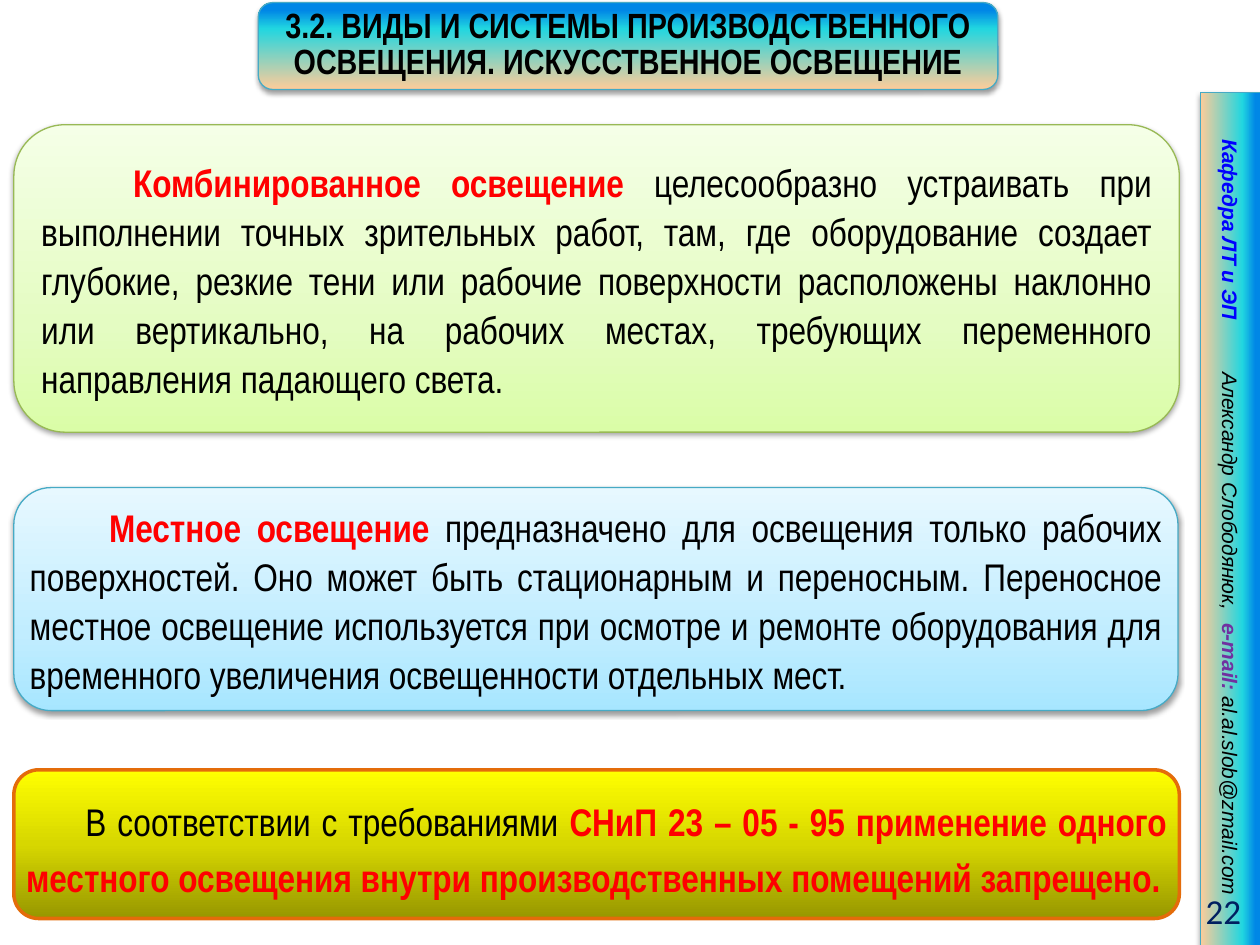
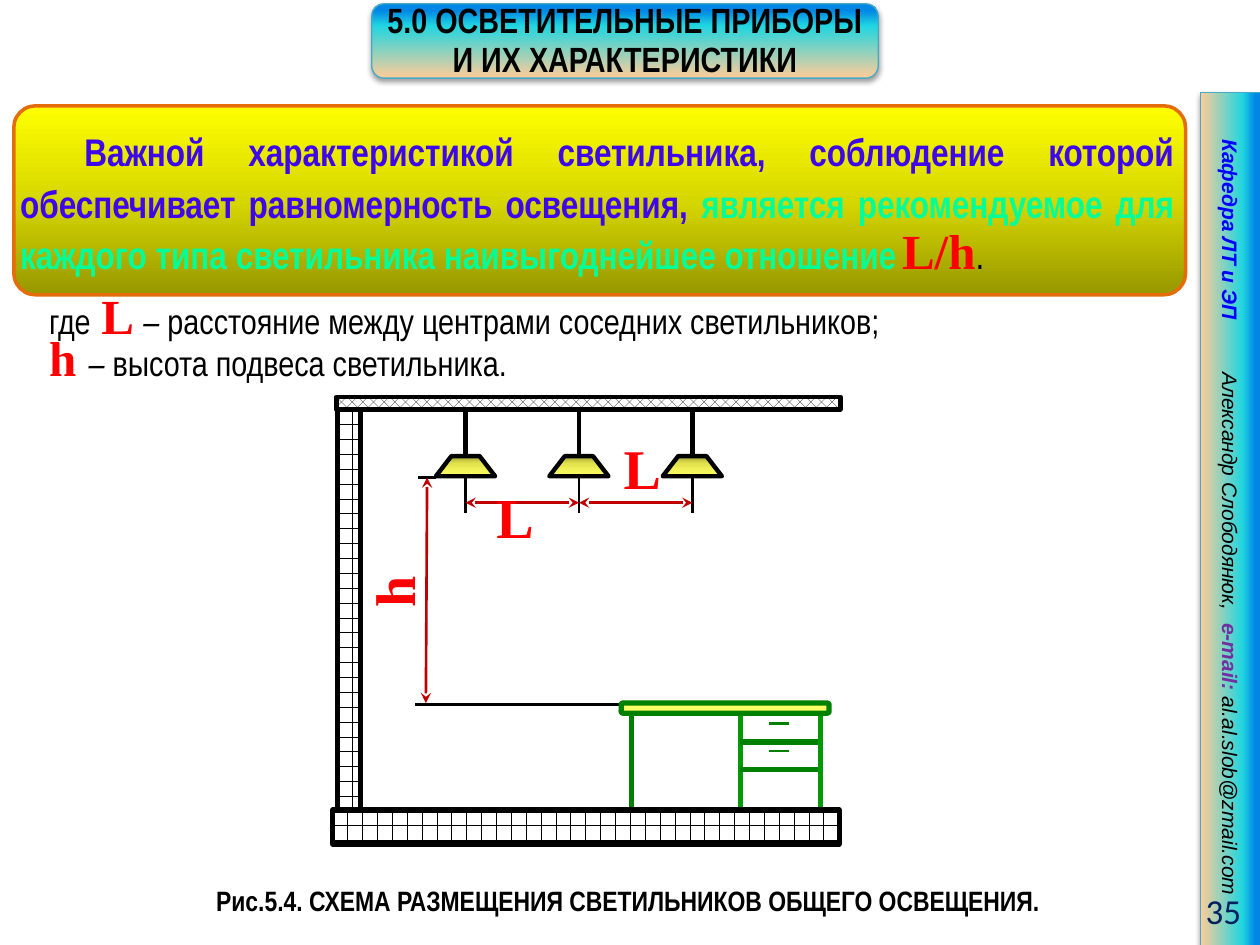
import pptx
import pptx.util
import pptx.dml.color
import pptx.enum.dml
import pptx.enum.shapes
import pptx.enum.text
import pptx.oxml
import pptx.oxml.ns
from pptx.util import Inches

Pt = pptx.util.Pt
SHAPES = pptx.enum.shapes.MSO_SHAPE
PATTERNS = pptx.enum.dml.MSO_PATTERN
ALIGN = pptx.enum.text.PP_ALIGN
ANCHOR = pptx.enum.text.MSO_ANCHOR
NAMESPACE = pptx.oxml.ns.nsdecls("a")

COLOURS = {
    "black": "000000", "white": "FFFFFF", "red": "FF0000", "blue": "0000FF",
    "violet": "7030A0", "navy": "002060", "indigo": "3D07E9", "mint": "00FF99",
    "teal": "46AAC5", "olive": "98B955", "orange": "E46C0A", "arrow": "C00000",
    "green": "008000", "leg": "009900", "desk": "FFFF66",
}

# Gradient stops (percent, colour) and the angle, counter-clockwise
GRADIENTS = {
    "band": ([(0, "FFCC99"), (70, "21D6E0"), (91, "0087E6")], 90),
    "gold": ([(0, "979700"), (50, "D7D700"), (100, "FFFF00")], 90),
    "sky": ([(0, "A7E6FF"), (35, "C1EDFF"), (100, "E7F8FF")], 90),
    "lime": ([(0, "DAFDA7"), (35, "E4FCC2"), (100, "F5FFE7")], 90),
    "lamp": ([(0, "9E9E36"), (35, "E1E14C"), (100, "FFFF66")], 270),
}


def text_format(name, size, colour, bold=False, italic=False, outline=None):
    font = {"name": name, "size": Pt(size), "bold": bold, "italic": italic}
    return {"font": font, "colour": colour, "outline": outline}


# Outlines are (width in points, opacity in percent)
HAIRLINE, FULL = (0.07, 55), (1, 100)
NARROW, ROMAN = "Arial Narrow", "Times New Roman"
FORMATS = {
    "title": text_format(NARROW, 20, "black", True),
    "number": text_format("Calibri", 20, "navy"),
    "department": text_format("Arial", 12, "blue", True, True),
    "contact": text_format("Arial", 12, "black", False, True),
    "contact label": text_format("Arial", 12, "violet", True, True),
    "body": text_format(NARROW, 22, "black"),
    "term": text_format(NARROW, 22, "red", True, outline=HAIRLINE),
    "lead": text_format(NARROW, 22, "indigo", True),
    "advice": text_format(NARROW, 22, "mint", True, outline=FULL),
    "legend": text_format(NARROW, 20, "black"),
    "dash": text_format(NARROW, 20, "black", False, True),
    "gap": text_format(ROMAN, 24, "black"),
    "symbol": text_format(ROMAN, 28, "red", True, outline=FULL),
    "dimension": text_format(ROMAN, 32, "red", True, outline=FULL),
    "caption": text_format(NARROW, 16, "black", True),
}
TIGHT = (0.04, 0.04, 0.04, 0.04)
USUAL = (0.1, 0.05, 0.1, 0.05)


def rgb(name):
    return pptx.dml.color.RGBColor.from_string(COLOURS[name])


def element(tag, attributes="", content=""):
    return pptx.oxml.parse_xml(f"<a:{tag} {NAMESPACE} {attributes}>{content}</a:{tag}>")


class Deck:
    def __init__(self):
        self.presentation = pptx.Presentation()
        self.presentation.slide_width = Inches(10)
        self.presentation.slide_height = Inches(7.5)
        self.slide = None

    def new_slide(self, title, box, spacing, number):
        layout = self.presentation.slide_layouts[5]
        self.slide = self.presentation.slides.add_slide(layout)
        # Title over its coloured plate
        plate = self.shape(SHAPES.ROUNDED_RECTANGLE, box, "band", "teal", shadow=True)
        placeholder = self.slide.shapes.title
        placeholder._element.addprevious(plate._element)
        for side, length in zip(("left", "top", "width", "height"), box):
            setattr(placeholder, side, Inches(length))
        self.set_text(placeholder, [[(title, "title")]], ALIGN.CENTER, spacing)
        # Side band and slide number
        band = self.shape(SHAPES.RECTANGLE, (6.38, 3.88, 6.77, 0.48), "band", "teal", shadow=True)
        band.rotation = 90
        self.set_text(band, [[("Кафедра ЛТ и ЭП\t", "department"),
                              ("Александр Слободянюк,\t", "contact"),
                              ("e-mail: ", "contact label"),
                              ("al.al.slob@zmail.com", "contact")]],
                      insets=(0.37, 0.05, 0, 0.05), tabs=(1.85, 3.84))
        self.text((8.86, 7.03, 1.09, 0.4), [[(number, "number")]], ALIGN.RIGHT, insets=USUAL)

    def shape(self, kind, box, fill, line, width=0.75, shadow=False, adjust=None):
        shape = self.slide.shapes.add_shape(kind, *map(Inches, box))
        if adjust is not None:
            shape.adjustments[0] = adjust
        if fill in GRADIENTS:
            self.gradient(shape, *GRADIENTS[fill])
        elif fill in COLOURS:
            shape.fill.solid()
            shape.fill.fore_color.rgb = rgb(fill)
        else:
            shape.fill.patterned()
            shape.fill.pattern = fill
            shape.fill.fore_color.rgb = rgb("black")
            shape.fill.back_color.rgb = rgb("white")
        shape.line.color.rgb = rgb(line)
        shape.line.width = Pt(width)
        shape.shadow.inherit = False
        if shadow:
            effects = shape._element.spPr.find(pptx.oxml.ns.qn("a:effectLst"))
            effects.append(element(
                "outerShdw",
                f'blurRad="{Pt(3.1)}" dist="{Pt(1.6)}" dir="5400000" rotWithShape="0"',
                '<a:srgbClr val="000000"><a:alpha val="38000"/></a:srgbClr>'))
        return shape

    def gradient(self, shape, stops, angle):
        shape.fill.gradient()
        shape.fill.gradient_angle = angle
        stop_list = next(shape._element.spPr.iter(pptx.oxml.ns.qn("a:gsLst")))
        for stop in list(stop_list):
            stop_list.remove(stop)
        for percent, colour in stops:
            stop_list.append(element("gs", f'pos="{percent * 1000}"',
                                     f'<a:srgbClr val="{colour}"/>'))

    def panel(self, box, fill, line, runs, spacing, indent, insets=TIGHT, tabs=(), **options):
        panel = self.shape(SHAPES.ROUNDED_RECTANGLE, box, fill, line, **options)
        self.set_text(panel, [runs], ALIGN.JUSTIFY, spacing, indent, insets, tabs=tabs)

    def text(self, box, paragraphs, align=ALIGN.LEFT, spacing=None, **options):
        shape = self.slide.shapes.add_textbox(*map(Inches, box))
        self.set_text(shape, paragraphs, align, spacing, **options)
        return shape

    def set_text(self, shape, paragraphs, align=ALIGN.LEFT, spacing=None, indent=0,
                 insets=TIGHT, anchor=ANCHOR.MIDDLE, tabs=()):
        frame = shape.text_frame
        left, top, right, bottom = map(Inches, insets)
        settings = {"word_wrap": True, "auto_size": pptx.enum.text.MSO_AUTO_SIZE.NONE,
                    "vertical_anchor": anchor, "margin_left": left, "margin_top": top,
                    "margin_right": right, "margin_bottom": bottom}
        for name, value in settings.items():
            setattr(frame, name, value)
        for index, runs in enumerate(paragraphs):
            paragraph = frame.add_paragraph() if index else frame.paragraphs[0]
            paragraph.alignment = align
            if spacing:
                paragraph.line_spacing = Pt(spacing)
            properties = paragraph._p.get_or_add_pPr()
            if indent:
                properties.set("marL", "0")
                properties.set("indent", str(Inches(indent)))
            if tabs:
                stops = "".join(f'<a:tab pos="{Inches(tab)}" algn="l"/>' for tab in tabs)
                properties.append(element("tabLst", content=stops))
            for content, format_name in runs:
                run = paragraph.add_run()
                run.text = content
                self.style_run(run, FORMATS[format_name])

    def style_run(self, run, settings):
        for name, value in settings["font"].items():
            setattr(run.font, name, value)
        run.font.color.rgb = rgb(settings["colour"])
        if settings["outline"]:
            width, opacity = settings["outline"]
            run._r.get_or_add_rPr().insert(0, element(
                "ln", f'w="{Pt(width)}"',
                '<a:solidFill><a:srgbClr val="000000">'
                f'<a:alpha val="{opacity * 1000}"/></a:srgbClr></a:solidFill>'))

    def line(self, start, end, colour="black", width=1.5, arrows=False):
        connector = self.slide.shapes.add_connector(
            pptx.enum.shapes.MSO_CONNECTOR.STRAIGHT, *map(Inches, start + end))
        connector.line.color.rgb = rgb(colour)
        connector.line.width = Pt(width)
        if arrows:
            for tip in ("headEnd", "tailEnd"):
                connector.line._get_or_add_ln().append(element(tip, 'type="stealth"'))
        connector._element.spPr.append(element("effectLst"))
        return connector


def build_lighting_kinds(deck):
    deck.new_slide("3.2. ВИДЫ И СИСТЕМЫ ПРОИЗВОДСТВЕННОГО ОСВЕЩЕНИЯ. ИСКУССТВЕННОЕ ОСВЕЩЕНИЕ",
                   (2.05, 0.02, 5.87, 0.69), 20, "22")
    deck.panel((0.11, 6.11, 9.25, 1.18), "gold", "orange", [
        ("В соответствии с требованиями ", "body"),
        ("СНиП 23 – 05 - 95 применение одного местного освещения внутри "
         "производственных помещений запрещено.", "term")], 32, 0.47, width=2)
    deck.panel((0.11, 3.87, 9.24, 1.77), "sky", "teal", [
        ("Местное освещение", "term"),
        (" предназначено для освещения только рабочих поверхностей. Оно может быть "
         "стационарным и переносным. Переносное местное освещение используется при "
         "осмотре и ремонте оборудования для временного увеличения освещенности "
         "отдельных мест.", "body")], 28, 0.63, shadow=True)
    deck.panel((0.11, 0.99, 9.25, 2.44), "lime", "olive", [
        ("Комбинированное освещение ", "term"),
        ("целесообразно устраивать при выполнении точных зрительных работ, там, где "
         "оборудование создает глубокие, резкие тени или рабочие поверхности "
         "расположены наклонно или вертикально, на рабочих местах, требующих "
         "переменного направления падающего света.", "body")], 28, 0.73, USUAL, shadow=True)


def build_lamp_scheme(deck):
    deck.new_slide("5.0 ОСВЕТИТЕЛЬНЫЕ ПРИБОРЫ И ИХ ХАРАКТЕРИСТИКИ",
                   (2.95, 0.03, 4.02, 0.59), 22, "35")
    deck.panel((0.11, 0.84, 9.3, 1.5), "gold", "orange", [
        ("Важной характеристикой светильника, соблюдение которой обеспечивает "
         "равномерность освещения, ", "lead"),
        ("является рекомендуемое для каждого типа светильника наивыгоднейшее "
         "отношение\t", "advice"),
        ("L/h", "symbol"), (".", "body")], 30, 0.51, (0, 0.04, 0.04, 0.04),
        tabs=(7.17,), width=2, adjust=0.115)
    deck.text((0.35, 2.36, 7.24, 0.75), [
        [("где", "legend"), (" ", "gap"), ("L ", "symbol"), ("– ", "dash"),
         ("расстояние между центрами соседних светильников;", "legend")],
        [("h ", "symbol"), ("– ", "dash"), ("высота подвеса светильника.", "legend")],
    ], ALIGN.JUSTIFY, 24)
    deck.text((1.48, 6.9, 7.01, 0.42), [
        [("Рис.5.4. СХЕМА РАЗМЕЩЕНИЯ СВЕТИЛЬНИКОВ ОБЩЕГО ОСВЕЩЕНИЯ.", "caption")],
    ], ALIGN.CENTER, 24)

    # Lamps on cords, with the lines their spacing is measured from
    first_lamp, lamp_step, lamp_width = 3.46, 0.9, 0.47
    centres = [first_lamp + lamp_width / 2 + lamp_step * i for i in range(3)]
    for centre in centres:
        lamp = deck.shape(SHAPES.TRAPEZOID, (centre - lamp_width / 2, 3.62, lamp_width, 0.16),
                          "lamp", "black", 2.5, adjust=0.77)
        deck.line((centre, 3.23), (centre, 3.62), width=2.5).end_connect(lamp, 0)
        deck.line((centre, 3.78), (centre, 4.07)).begin_connect(lamp, 2)
    for left, right in zip(centres, centres[1:]):
        deck.line((right, 3.99), (left, 3.99), "arrow", arrows=True)

    # Suspension height
    deck.line((3.46, 3.79), (3.32, 3.79))
    deck.line((4.93, 5.59), (3.29, 5.59))
    deck.line((3.39, 3.79), (3.38, 5.58), "arrow", arrows=True)

    # Desk with drawers
    for x, colour in ((5.01, "green"), (5.88, "leg"), (6.51, "leg")):
        deck.line((x, 5.66), (x, 6.41), colour, 3)
    for y in (5.89, 6.11):
        deck.line((6.49, y), (5.87, y), "green", 3)
        deck.line((6.26, y - 0.15), (6.1, y - 0.15), "green")
    deck.shape(SHAPES.ROUNDED_RECTANGLE, (4.93, 5.58, 1.65, 0.08), "desk", "green", 3)

    # Wall, floor and ceiling
    for box, pattern, width in (
            ((2.68, 3.25, 0.18, 3.31), PATTERNS.HORIZONTAL_BRICK, 3),
            ((2.64, 6.43, 4.02, 0.27), PATTERNS.HORIZONTAL_BRICK, 3),
            ((2.67, 3.15, 4, 0.1), PATTERNS.WEAVE, 2.5)):
        deck.shape(SHAPES.RECTANGLE, box, pattern, "black", width)

    # Dimension letters
    for x, y in ((3.9, 3.83), (4.91, 3.44)):
        deck.text((x, y, 0.42, 0.54), [[("L", "dimension")]],
                  insets=(0.04, 0, 0.04, 0), anchor=ANCHOR.TOP)
    height_label = deck.text((2.81, 4.54, 0.62, 0.32), [[("h", "dimension")]], anchor=ANCHOR.TOP)
    height_label.text_frame.word_wrap = False
    height_label.text_frame._txBody.bodyPr.set("vert", "vert270")


def main():
    deck = Deck()
    build_lighting_kinds(deck)
    build_lamp_scheme(deck)
    deck.presentation.save("out.pptx")


if __name__ == "__main__":
    main()
